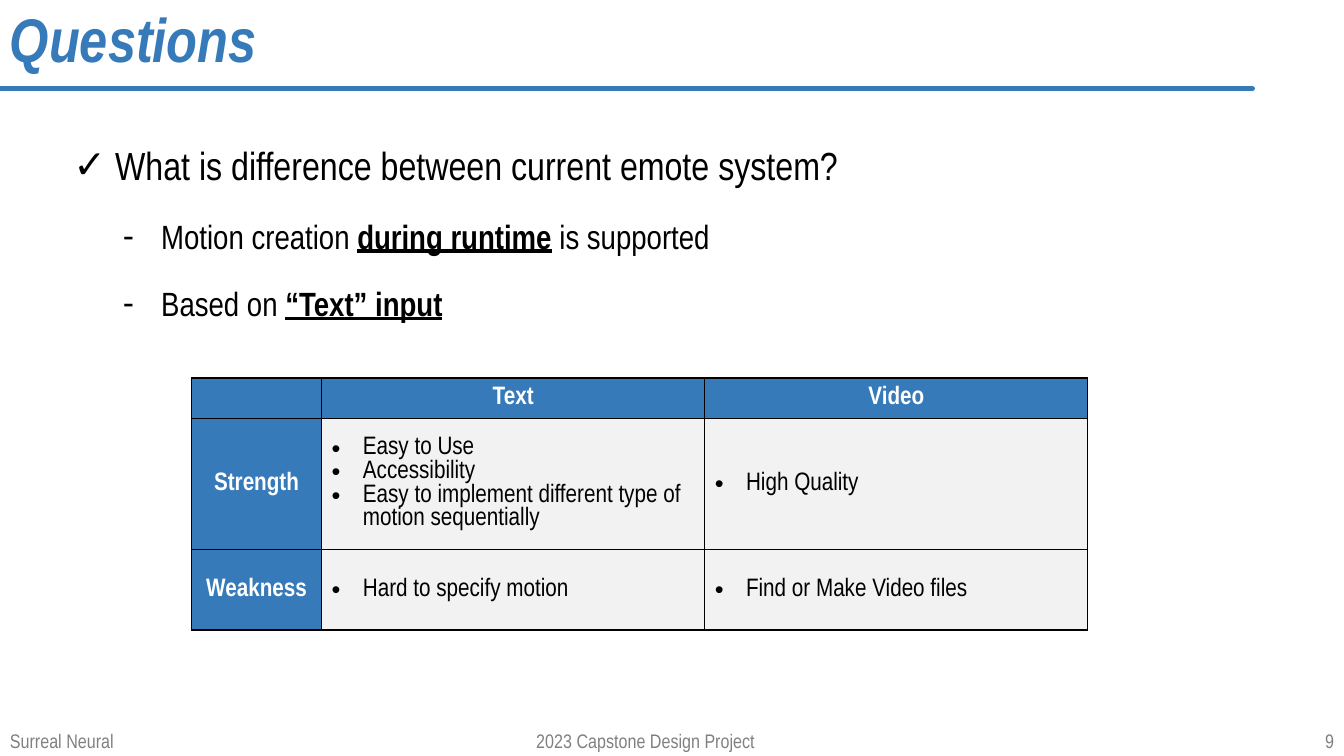
from lxml import etree
from pptx import Presentation
from pptx.dml.color import RGBColor
from pptx.enum import shapes, text
from pptx.oxml import ns
from pptx.util import Inches, Pt

BLUE = RGBColor(0x36, 0x7A, 0xB9)
GREY = RGBColor(0x80, 0x80, 0x80)
PALE = RGBColor(0xF2, 0xF2, 0xF2)
BLACK = RGBColor(0, 0, 0)
WHITE = RGBColor(255, 255, 255)
FONT = "Arial Narrow"
LEFT, CENTER, RIGHT = text.PP_ALIGN.LEFT, text.PP_ALIGN.CENTER, text.PP_ALIGN.RIGHT
TOP, MIDDLE = text.MSO_ANCHOR.TOP, text.MSO_ANCHOR.MIDDLE

TITLE = "Questions"
QUESTION = " What is difference between current emote system?"
# Each answer is a list of (words, emphasised)
ANSWERS = [
    [("Motion creation ", False), ("during runtime", True), (" is supported", False)],
    [("Based on ", False), ("“Text” input", True)],
]
HEADER = ["", "Text", "Video"]
ROWS = [
    ("Strength",
     ["Easy to Use", "Accessibility",
      "Easy to implement different type of motion sequentially"],
     ["High Quality"]),
    ("Weakness", ["Hard to specify motion"], ["Find or Make Video files"]),
]
COL_WIDTHS = [1.29, 3.8, 3.8]
ROW_HEIGHTS = [0.37, 1.19, 0.8]
# Text, left, width, alignment
FOOTERS = [
    ("Surreal Neural", 0, 2.89, LEFT),
    ("9", 10.75, 2.58, RIGHT),
    ("2023 Capstone Design Project", 5.22, 2.89, LEFT),
]


def sub(parent, tag, **attrs):
    return etree.SubElement(parent, ns.qn(tag), attrs)


def add_run(p, words, size, color, **styles):
    r = p.add_run()
    r.text = words
    formats = {"name": FONT, "size": Pt(size), **styles}
    for name, value in formats.items():
        setattr(r.font, name, value)
    r.font.color.rgb = color


def set_bullet(p, char, left, hang):
    pPr = p._p.get_or_add_pPr()
    pPr.set("marL", str(Inches(left)))
    pPr.set("indent", str(-Inches(hang)))
    sub(pPr, "a:buFont", typeface="Arial")
    sub(pPr, "a:buChar", char=char)


def add_box(s, left, top, width, height, anchor=TOP):
    box = s.shapes.add_textbox(*map(Inches, (left, top, width, height)))
    tf = box.text_frame
    tf.word_wrap = True
    tf.vertical_anchor = anchor
    return tf


def next_paragraph(tf, index):
    return tf.add_paragraph() if index else tf.paragraphs[0]


def set_borders(cell):
    tcPr = cell._tc.get_or_add_tcPr()
    for i, side in enumerate(("a:lnL", "a:lnR", "a:lnT", "a:lnB")):
        ln = sub(tcPr, side, w=str(Pt(1)))
        sub(sub(ln, "a:solidFill"), "a:srgbClr", val=str(BLACK))
        tcPr.insert(i, ln)


def fill_cell(cell, content):
    """A string makes a blue heading, a list makes bullets."""
    heading = isinstance(content, str)
    cell.vertical_anchor = MIDDLE
    cell.fill.solid()
    cell.fill.fore_color.rgb = BLUE if heading else PALE
    set_borders(cell)
    for i, words in enumerate([content] if heading else content):
        p = next_paragraph(cell.text_frame, i)
        if heading:
            p.alignment = CENTER
        else:
            set_bullet(p, "•", 0.31, 0.31)
        if words:
            add_run(p, words, 18, WHITE if heading else BLACK, bold=heading)


def add_footers(s):
    for words, left, width, align in FOOTERS:
        p = add_box(s, left, 7.18, width, 0.35).paragraphs[0]
        p.alignment = align
        add_run(p, words, 14, GREY)


def add_title(s):
    rule = s.shapes.add_connector(shapes.MSO_CONNECTOR.STRAIGHT, 0, Inches(0.88),
                                  Inches(12.42), Inches(0.88))
    rule.line.color.rgb = BLUE
    rule.line.width = Pt(4)
    rule.line._get_or_add_ln().set("cap", "rnd")
    sub(rule._element.spPr, "a:effectLst")
    p = add_box(s, 0, -0.01, 13.33, 0.87, MIDDLE).paragraphs[0]
    p.line_spacing = 0.9
    add_run(p, TITLE, 44, BLUE, bold=True, italic=True)


def add_body(s):
    tf = add_box(s, 0.23, 1.12, 12.88, 6.06)
    for i, parts in enumerate([[(QUESTION, False)]] + ANSWERS):
        p = next_paragraph(tf, i)
        p.level = 1 if i else 0
        p.line_spacing = 1.5
        p.space_before = Pt(5 if i else 10)
        set_bullet(p, *(("-", 1.27, 0.38) if i else ("✓", 0.7, 0.3)))
        for words, strong in parts:
            add_run(p, words, 24 if i else 28, BLACK, bold=strong, underline=strong)


def add_comparison(s):
    grid = [HEADER, *ROWS]
    frame = s.shapes.add_table(len(grid), len(HEADER), Inches(1.9), Inches(3.75),
                               Inches(sum(COL_WIDTHS)), Inches(sum(ROW_HEIGHTS)))
    table = frame.table
    for column, width in zip(table.columns, COL_WIDTHS):
        column.width = Inches(width)
    for row, height, contents in zip(table.rows, ROW_HEIGHTS, grid):
        row.height = Inches(height)
        for cell, content in zip(row.cells, contents):
            fill_cell(cell, content)


def main():
    prs = Presentation()
    prs.slide_width, prs.slide_height = Inches(13.33), Inches(7.5)
    s = prs.slides.add_slide(prs.slide_layouts[6])
    add_footers(s)
    add_title(s)
    add_body(s)
    add_comparison(s)
    prs.save("out.pptx")


if __name__ == "__main__":
    main()
